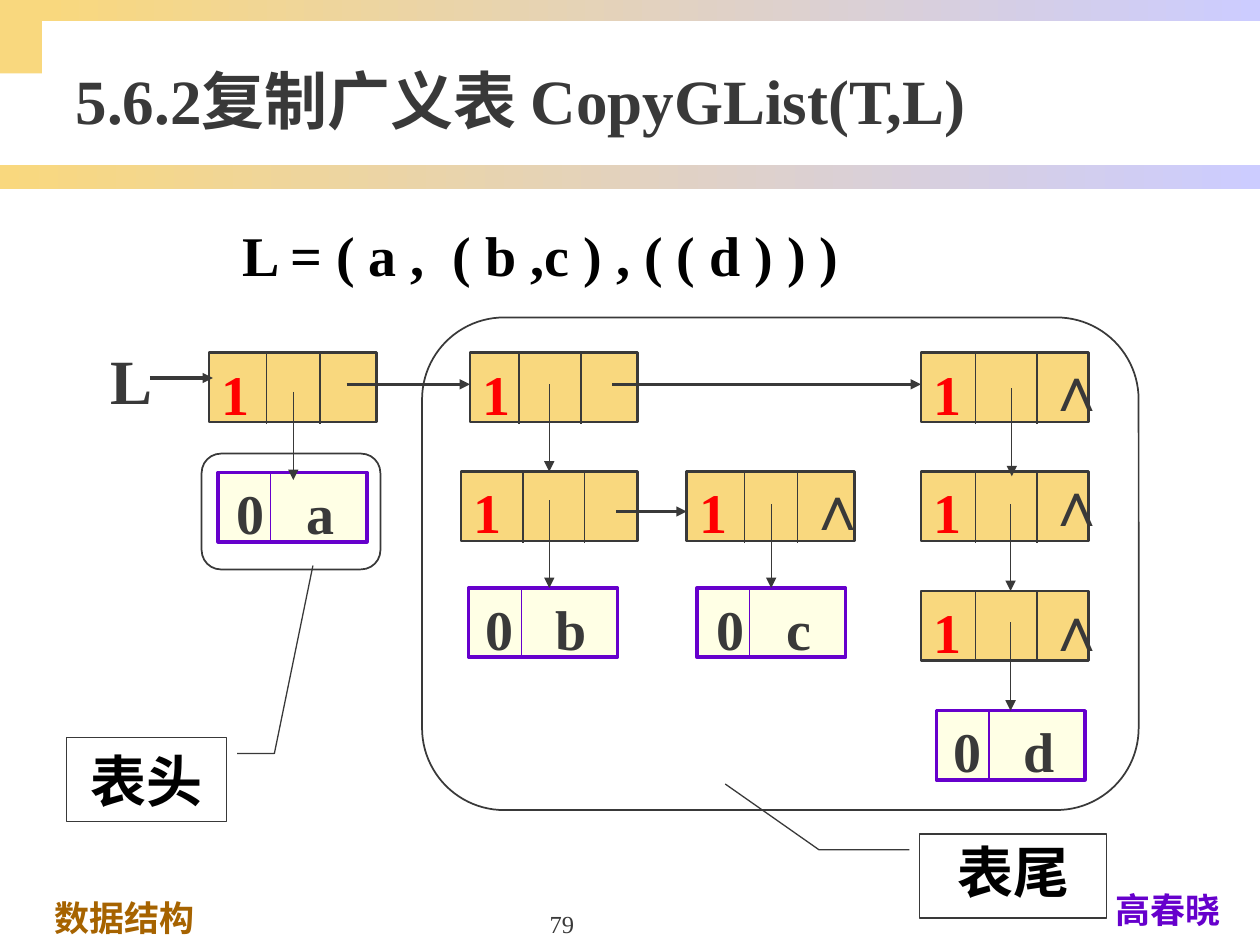
from lxml import etree
from pptx import Presentation
from pptx import util as u
from pptx.dml.color import RGBColor
from pptx.enum import shapes, text
from pptx.oxml.ns import qn

Pt = u.Pt
FONT = "Times New Roman"
COLORS = {
    "gold": "F9D87E", "lilac": "CCCCFF", "cream": "FFFFCC", "violet": "6600CC",
    "ink": "393939", "red": "FF0000", "brown": "A66300", "black": "000000",
}
RGB = {name: RGBColor.from_string(code) for name, code in COLORS.items()}
KIND = shapes.MSO_SHAPE
ALIGN = text.PP_ALIGN
ANCHOR = text.MSO_ANCHOR

deck = Presentation()
deck.slide_width, deck.slide_height = Pt(720), Pt(540)
slide = deck.slides.add_slide(deck.slide_layouts[5])


def block(kind, box, fill=None, line=None, weight=1, words="", size=32, color="ink",
          bold=True, align=ALIGN.LEFT, anchor=ANCHOR.TOP, wrap=True, inset=3.6, before=50):
    box = [Pt(n) for n in box]
    if kind is None:
        item = slide.shapes.add_textbox(*box)
    else:
        item = slide.shapes.add_shape(kind, *box)
        item.shadow.inherit = False
        item.fill.background()
        item.line.fill.background()
    if fill:
        item.fill.solid()
        item.fill.fore_color.rgb = RGB[fill]
    if line:
        item.line.color.rgb = RGB[line]
        item.line.width = Pt(weight)
    if words:
        frame = item.text_frame
        frame.word_wrap = wrap
        frame.vertical_anchor = anchor
        frame.margin_top = frame.margin_bottom = Pt(inset)
        p = frame.paragraphs[0]
        p.text = words
        p.alignment = align
        if before:
            gap = etree.SubElement(p._p.get_or_add_pPr(), qn("a:spcBef"))
            etree.SubElement(gap, qn("a:spcPct")).set("val", str(before * 1000))
        p.font.name, p.font.size, p.font.bold = FONT, Pt(size), bold
        p.font.color.rgb = RGB[color]
    return item


def stroke(x1, y1, x2, y2, color="ink", weight=0.75, arrow=False):
    link = slide.shapes.add_connector(
        shapes.MSO_CONNECTOR.STRAIGHT, Pt(x1), Pt(y1), Pt(x2), Pt(y2))
    link.line.color.rgb = RGB[color]
    link.line.width = Pt(weight)
    if arrow:
        etree.SubElement(link.line._get_or_add_ln(), qn("a:tailEnd")).set("type", "triangle")
    etree.SubElement(link._element.spPr, qn("a:effectLst"))
    return link


block(KIND.RECTANGLE, (0, 0, 24, 42), fill="gold")
for band in [(0, 94.3, 720, 13.7), (24, 0, 696, 12)]:
    bar = block(KIND.RECTANGLE, band)
    bar.fill.gradient()
    bar.fill.gradient_angle = 0
    for stop, name in zip(bar.fill.gradient_stops, ("gold", "lilac")):
        stop.color.rgb = RGB[name]

title = slide.shapes.title
title.left, title.top, title.width, title.height = Pt(36), Pt(18), Pt(684), Pt(77)
title.text_frame.auto_size = text.MSO_AUTO_SIZE.NONE
title.text_frame.vertical_anchor = ANCHOR.MIDDLE
heading = title.text_frame.paragraphs[0]
heading.text = "5.6.2复制广义表 CopyGList(T,L)"
heading.alignment = ALIGN.LEFT
heading.font.name, heading.font.size, heading.font.bold = FONT, Pt(36), True
heading.font.color.rgb = RGB["ink"]

block(None, (24, 509, 252, 31), words="数据结构", size=20, color="brown")
block(None, (620.6, 504, 93.6, 31), words="高春晓", size=20, color="violet", align=ALIGN.CENTER)
block(None, (246.2, 504, 149.8, 36), words="79", size=14, bold=False,
      align=ALIGN.CENTER, anchor=ANCHOR.BOTTOM, before=0)
block(None, (129.6, 117.4, 357.1, 55.4), words="L = ( a ,  ( b ,c ) , ( ( d ) ) )",
      color="black", align=ALIGN.RIGHT, wrap=False, inset=8.6)
block(None, (56.2, 191.5, 38.2, 50.4), words="L", size=36, align=ALIGN.RIGHT, wrap=False)

NODE_H = 39.6
ROWS = [201.6, 269.5, 337.7]
pairs = {}
for key, left, row, width, first, second in [
    ("a", 119.5, 0, 95.8, 33, 63.4),
    ("bc", 268.6, 0, 95.8, 28, 63.4),
    ("d1", 526.3, 0, 95.8, 31, 66.2),
    ("b", 263.5, 1, 100.8, 35.3, 70.6),
    ("c", 392.4, 1, 95.8, 33, 63.4),
    ("d2", 526.3, 1, 95.8, 31, 66.2),
    ("d3", 526.3, 2, 95.8, 31, 66.2),
]:
    top = ROWS[row]
    pairs[key] = block(KIND.RECTANGLE, (left, top, width, NODE_H), "gold", "ink", 1.5,
                       words="1", color="red")
    for offset in (first, second):
        stroke(left + offset, top, left + offset, top + 40.6)

for left, top in [(590.4, 195.8), (590.4, 261.4), (590.4, 332.6), (453.6, 263.5)]:
    block(None, (left, top, 36, 50.4), words="∧", size=36, bold=False,
          align=ALIGN.RIGHT, wrap=False)

atoms = {}
for letter, left, top in [("a", 124.6, 270), ("b", 267.8, 336), ("c", 398.2, 336), ("d", 535, 406.1)]:
    atom = block(KIND.RECTANGLE, (left, top, 85, NODE_H), "cream", "violet", 2,
                 words=f"0   {letter} ", align=ALIGN.CENTER, wrap=False)
    tint = atom._element.spPr.find(qn("a:solidFill"))[0]
    etree.SubElement(tint, qn("a:alpha")).set("val", "50000")
    stroke(left + 30.2, top, left + 30.2, top + NODE_H, "violet")
    atoms[letter] = atom

for x1, x2, y in [(85.7, 121.7, 216), (198, 268.6, 219.6), (349.9, 526.3, 219.6), (352.1, 392.4, 292.3)]:
    stroke(x1, y, x2, y, weight=1.75, arrow=True)

for x, y1, y2, target in [
    (167.6, 224, 274.3, None),
    (313.9, 219.6, 269.5, pairs["b"]),
    (313.9, 285.8, 336, None),
    (440.7, 288, 336, atoms["c"]),
    (578.2, 221.8, 272.2, None),
    (577.5, 288, 337.7, None),
    (577.5, 355.7, 406.1, atoms["d"]),
]:
    pointer = stroke(x, y1, x, y2, arrow=True)
    if target is not None:
        pointer.end_connect(target, 0)

for outline in [(241.2, 181.4, 409.5, 281.5), (115.2, 259.2, 102.2, 66.2)]:
    block(KIND.FLOWCHART_ALTERNATE_PROCESS, outline, line="ink")

for words, box, bends, spacing in [
    ("表头", (38.2, 421.5, 91.4, 48), (0.188, 1.065, 0.188, 1.298, -2.049, 1.539), None),
    ("表尾", (525.6, 476.6, 106.8, 48), (0.188, -0.056, 0.188, -0.539, -0.596, -1.041), 0.85),
]:
    callout = block(KIND.LINE_CALLOUT_2, box, line="ink", weight=0.75, words=words,
                    color="black", align=ALIGN.CENTER, anchor=ANCHOR.MIDDLE, inset=8.6)
    for i, bend in enumerate(bends):
        callout.adjustments[i] = bend
    callout.text_frame.paragraphs[0].line_spacing = spacing

deck.save("out.pptx")
